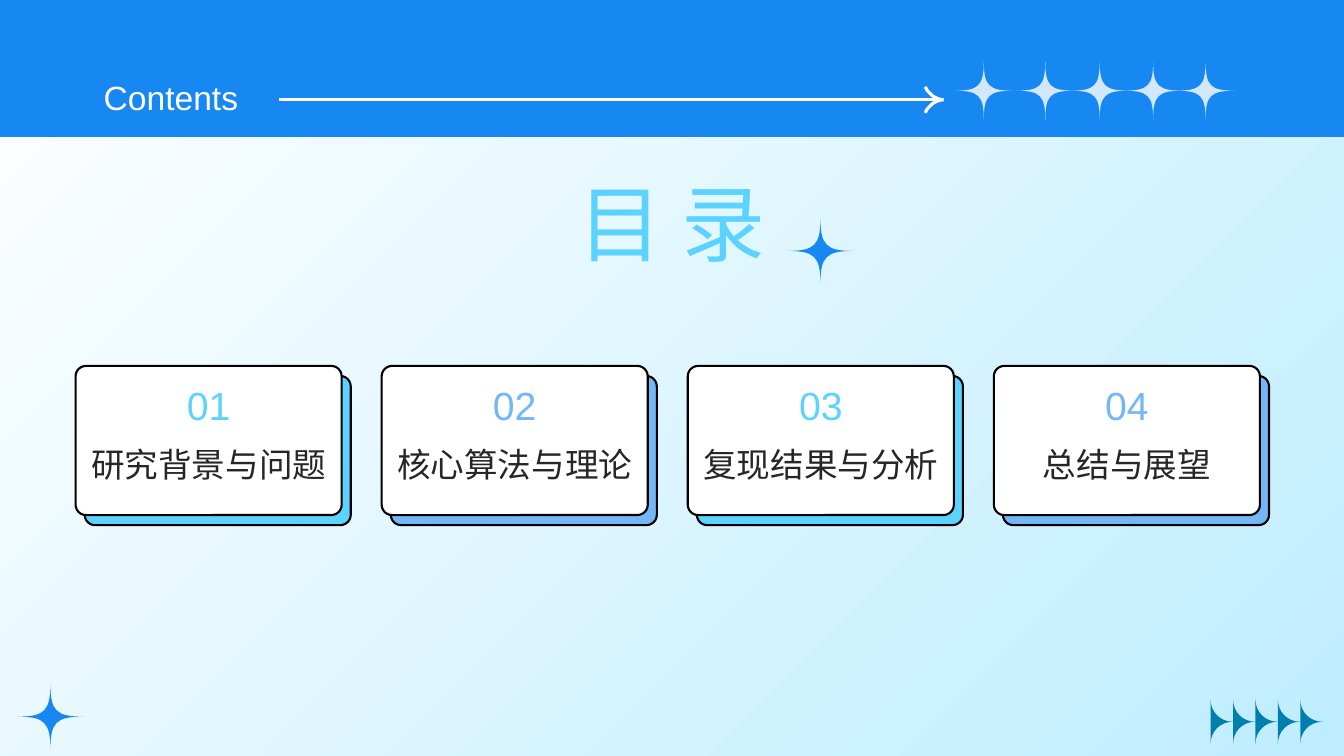
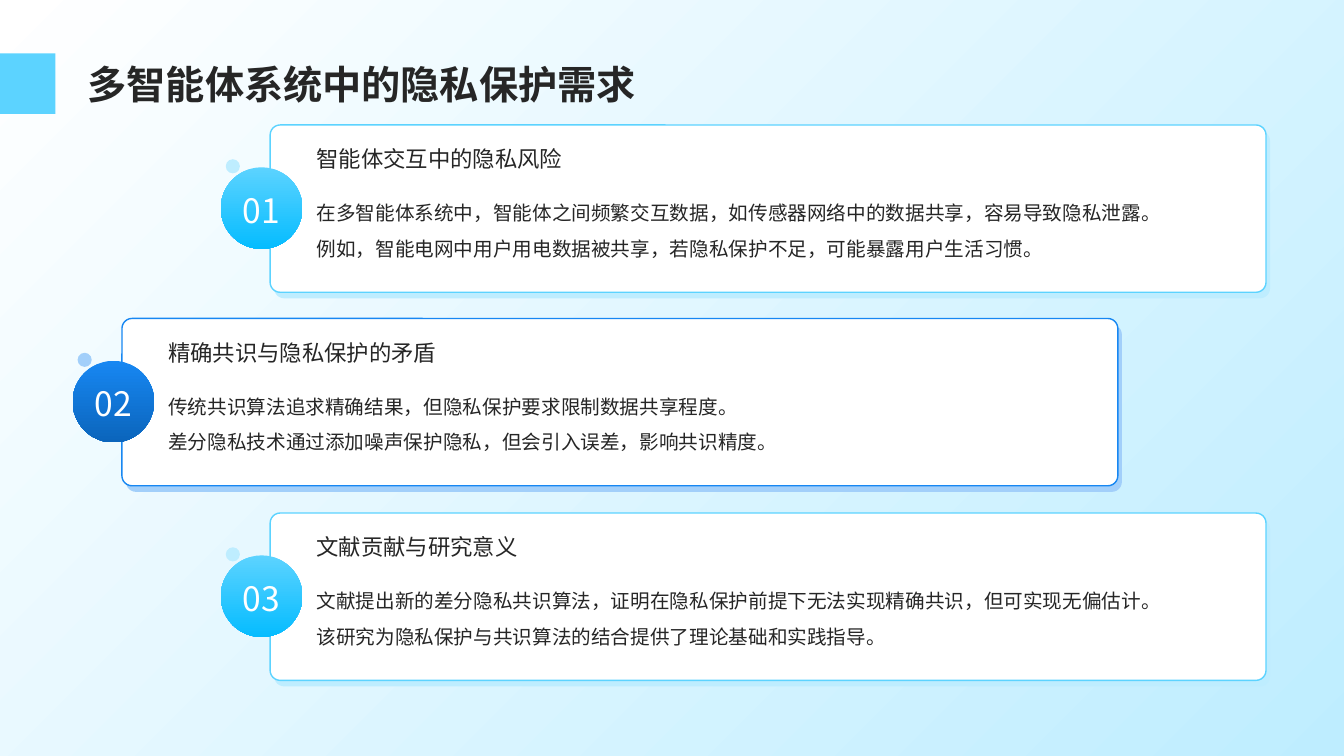
from lxml.etree import SubElement
from pptx import Presentation
from pptx.dml.color import RGBColor
from pptx.enum.shapes import MSO_CONNECTOR, MSO_SHAPE
from pptx.enum.text import MSO_ANCHOR, MSO_AUTO_SIZE, PP_ALIGN
from pptx.oxml.ns import qn
from pptx.util import Inches, Pt

COLOURS = {
    "white": "FFFFFF",
    "black": "000000",
    "ink": "262626",
    "pale": "BEEDFF",
    "sky": "5CD3FF",
    "deep sky": "05BCFF",
    "soft blue": "74B7F7",
    "light blue": "A2CFFA",
    "blue": "1787F2",
    "dark blue": "0B65BC",
    "ice": "D1E7FC",
    "teal": "007FAE",
}
LATIN, CHINESE = "Arial", "Noto Sans CJK SC"
HEIGHT = 7.5
WIDTH = HEIGHT * 16 / 9
STAR_TIPS = [(1, 0), (0, 1), (-1, 0), (0, -1), (1, 0)]
DART_TIPS = [(0, -1), (1, 0), (0, 1)]


def rgb(name):
    return RGBColor.from_string(COLOURS[name])


def paint_gradient(fill, colours, angle):
    fill.gradient()
    fill.gradient_angle = angle
    for stop, colour in zip(fill.gradient_stops, colours):
        stop.color.rgb = rgb(colour)


def style_shape(shape, fill=None, line=None, width=1):
    shape.shadow.inherit = False
    if fill:
        shape.fill.solid()
        shape.fill.fore_color.rgb = rgb(fill)
    else:
        shape.fill.background()
    if line:
        shape.line.color.rgb = rgb(line)
        shape.line.width = Pt(width)
    else:
        shape.line.fill.background()


def add_block(page, kind, place, corner=None, **style):
    block = page.shapes.add_shape(kind, *map(Inches, place))
    if corner is not None:
        block.adjustments[0] = corner
    style_shape(block, **style)
    return block


def fill_text(box, text, size, colour="ink", font=LATIN, bold=False, align=PP_ALIGN.LEFT,
              spacing=1.0, anchor=MSO_ANCHOR.TOP, inset=True):
    """Write one paragraph; a vertical tab in the text breaks the line."""
    frame = box.text_frame
    frame.word_wrap = True
    frame.auto_size = MSO_AUTO_SIZE.NONE
    frame.vertical_anchor = anchor
    side, edge = (0.1, 0.05) if inset else (0, 0)
    frame.margin_left = frame.margin_right = Inches(side)
    frame.margin_top = frame.margin_bottom = Inches(edge)
    para = frame.paragraphs[0]
    para.text = text
    para.alignment = align
    para.line_spacing = spacing
    for span in para.runs:
        span.font.size = Pt(size)
        span.font.bold = bold
        span.font.color.rgb = rgb(colour)
        span.font.name = font
        SubElement(span.font._element, qn("a:ea"), typeface=CHINESE)


def add_text(page, place, text, size, **style):
    fill_text(page.shapes.add_textbox(*map(Inches, place)), text, size, **style)


def add_titled_page(deck, place, text, size, **style):
    """Page with the shared gradient backdrop behind its title."""
    page = deck.slides.add_slide(deck.slide_layouts[5])
    title = page.shapes.title
    title.left, title.top, title.width, title.height = map(Inches, place)
    fill_text(title, text, size, **style)
    backdrop = add_block(page, MSO_SHAPE.FLOWCHART_PROCESS, (0, 0, WIDTH, HEIGHT))
    paint_gradient(backdrop.fill, ("pale", "white"), 135)
    title._element.addprevious(backdrop._element)
    return page


def add_curves(page, points, close=False, **style):
    """Cubic curves: a start, then two controls and an end for each curve."""
    points = [(Inches(x), Inches(y)) for x, y in points]
    builder = page.shapes.build_freeform(*points[0])
    builder.add_line_segments(points[1:], close=close)
    shape = builder.convert_to_shape()
    outline = shape._element.find(".//" + qn("a:path"))
    steps = outline.findall(qn("a:lnTo"))
    for first in range(0, len(steps), 3):
        cubic = SubElement(outline, qn("a:cubicBezTo"))
        steps[first].addprevious(cubic)
        for step in steps[first:first + 3]:
            cubic.append(step[0])
            outline.remove(step)
    style_shape(shape, **style)


def add_spikes(page, x, y, radius, fill, tips=STAR_TIPS, pinch=0.17, close=False):
    """Tips around a centre, joined by curves drawn in towards it."""
    points = [tips[0]]
    for start, end in zip(tips, tips[1:]):
        points += [tuple(pinch * value for value in tip) for tip in (start, end)]
        points.append(end)
    add_curves(page, [(x + radius * dx, y + radius * dy) for dx, dy in points],
               close=close, fill=fill)


def add_long_arrow(page, left, right, y):
    group = page.shapes.add_group_shape()
    shaft = group.shapes.add_connector(
        MSO_CONNECTOR.STRAIGHT, *map(Inches, (left, y, right, y)))
    shaft.line.color.rgb = rgb("white")
    shaft.line.width = Pt(2.25)
    SubElement(shaft._element.spPr, qn("a:effectLst"))
    barb = ((0.18, 0.13), (0.17, 0.09), (0.14, 0.07), (0.11, 0.04),
            (0.08, 0.02), (0.04, 0), (0, 0))
    for side in (-1, 1):
        add_curves(group, [(right - back, y + side * rise) for back, rise in barb],
                   line="white", width=2.25)


def add_contents_card(page, index, text):
    left, top, width, height = 0.75 + 9.11 / 3 * index, 3.63, 2.64, 1.48
    accent = ("sky", "soft blue")[index % 2]
    for right, down, fill in ((0.09, 0.1, accent), (0, 0, "white")):
        add_block(page, MSO_SHAPE.ROUNDED_RECTANGLE,
                  (left + right, top + down, width, height),
                  corner=0.07, fill=fill, line="black", width=1.5)
    add_text(page, (left, top + 0.72, width, 0.73), text, 24, align=PP_ALIGN.CENTER)
    add_text(page, (left + 0.92, top + 0.06, 0.8, 0.61), f"{index + 1:02}", 28,
             colour=accent, align=PP_ALIGN.CENTER, spacing=1.1, anchor=MSO_ANCHOR.MIDDLE)


def add_panel(page, number, left, top, heading, body, shade, line, badge_colours):
    """Outlined panel with an offset shade and a numbered badge on its left edge."""
    width, height = 9.88, 1.66
    add_block(page, MSO_SHAPE.ROUNDED_RECTANGLE, (left + 0.04, top + 0.06, width, height),
              corner=0.06, fill=shade)
    add_block(page, MSO_SHAPE.ROUNDED_RECTANGLE, (left, top, width, height),
              corner=0.06, fill="white", line=line)
    style = {"font": CHINESE, "inset": False}
    add_text(page, (left + 0.46, top + 0.15, 9.24, 0.37), heading, 16,
             anchor=MSO_ANCHOR.MIDDLE, **style)
    add_text(page, (left + 0.46, top + 0.46, 9.24, 1.06), body, 14,
             spacing=1.5, anchor=MSO_ANCHOR.MIDDLE, **style)
    badge = add_block(page, MSO_SHAPE.OVAL, (left - 0.49, top + 0.42, 0.81, 0.81))
    paint_gradient(badge.fill, badge_colours, 270)
    add_text(page, (left - 0.33, top + 0.64, 0.49, 0.37), f"{number:02}", 24,
             colour="white", align=PP_ALIGN.CENTER, **style)
    add_block(page, MSO_SHAPE.OVAL, (left - 0.44, top + 0.34, 0.14, 0.14), fill=shade)


def build_contents(deck):
    page = add_titled_page(deck, (5.51, 1.84, 2.31, 0.88), "目 录", 60,
                           colour="sky", align=PP_ALIGN.CENTER, spacing=0.8)
    add_block(page, MSO_SHAPE.RECTANGLE, (0, 0, WIDTH, 1.36), fill="blue")
    add_long_arrow(page, 2.77, 9.36, 0.99)
    stars = page.shapes.add_group_shape()
    for x in (9.76, 10.37, 10.91, 11.44, 11.96):
        add_spikes(stars, x, 0.9, 0.29, "ice")
    add_text(page, (0.5, 0.67, 2.39, 0.5), "Contents", 24, colour="white",
             align=PP_ALIGN.CENTER, spacing=1.1)
    for x, y in ((0.5, 7.11), (8.14, 2.49)):
        add_spikes(page, x, y, 0.33, "blue")
    darts = page.shapes.add_group_shape()
    for index in range(5):
        add_spikes(darts, 12.01 + 0.89 / 4 * index, 7.16, 0.22, "teal",
                   tips=DART_TIPS, pinch=0.44, close=True)
    topics = ("研究背景与问题", "核心算法与理论", "复现结果与分析", "总结与展望")
    for index, topic in enumerate(topics):
        add_contents_card(page, index, topic)


def build_privacy_needs(deck):
    page = add_titled_page(deck, (0.87, 0.55, 11.88, 0.51), "多智能体系统中的隐私保护需求", 28,
                           font=CHINESE, bold=True, spacing=1.1,
                           anchor=MSO_ANCHOR.MIDDLE, inset=False)
    add_block(page, MSO_SHAPE.RECTANGLE, (0, 0.53, 0.55, 0.6), fill="sky")
    light = ("pale", "sky", ("sky", "deep sky"))
    dark = ("light blue", "blue", ("blue", "dark blue"))
    panels = (
        (2.68, 1.24, "智能体交互中的隐私风险",
         "在多智能体系统中，智能体之间频繁交互数据，如传感器网络中的数据共享，容易导致隐私泄露。\v"
         "例如，智能电网中用户用电数据被共享，若隐私保护不足，可能暴露用户生活习惯。", *light),
        (1.21, 3.16, "精确共识与隐私保护的矛盾",
         "传统共识算法追求精确结果，但隐私保护要求限制数据共享程度。\v"
         "差分隐私技术通过添加噪声保护隐私，但会引入误差，影响共识精度。", *dark),
        (2.68, 5.09, "文献贡献与研究意义",
         "文献提出新的差分隐私共识算法，证明在隐私保护前提下无法实现精确共识，但可实现无偏估计。\v"
         "该研究为隐私保护与共识算法的结合提供了理论基础和实践指导。", *light),
    )
    for number, panel in enumerate(panels, 1):
        add_panel(page, number, *panel)


def main():
    deck = Presentation()
    deck.slide_width, deck.slide_height = Inches(WIDTH), Inches(HEIGHT)
    build_contents(deck)
    build_privacy_needs(deck)
    deck.save("out.pptx")


if __name__ == "__main__":
    main()
